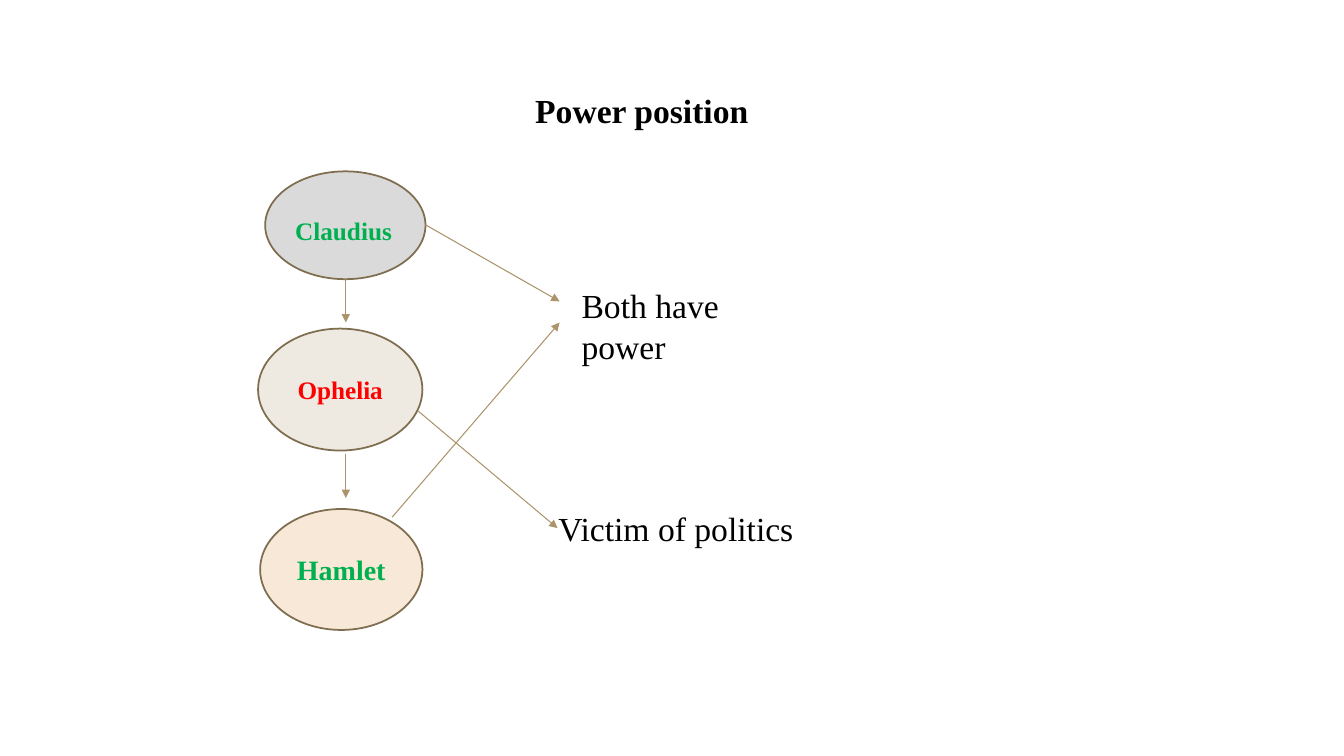
from pptx import Presentation
from pptx.dml.color import RGBColor
from pptx.enum.shapes import MSO_CONNECTOR, MSO_SHAPE
from pptx.enum.text import MSO_ANCHOR, PP_ALIGN
from pptx.oxml.ns import qn
from pptx.util import Inches, Pt
from lxml.etree import SubElement

FONT = "Times New Roman"
BLACK = RGBColor(0x00, 0x00, 0x00)
GREEN = RGBColor(0x00, 0xB0, 0x50)
RED = RGBColor(0xFF, 0x00, 0x00)
GREY = RGBColor(0xDA, 0xDA, 0xDA)
STONE = RGBColor(0xEE, 0xEA, 0xE1)
PEACH = RGBColor(0xF8, 0xE8, 0xD8)
OUTLINE = RGBColor(0x7F, 0x6D, 0x4F)
ARROW = RGBColor(0xAB, 0x94, 0x6B)


def write(shape, text, size=24, color=BLACK, bold=False):
    """Set one line of styled text in a shape."""
    frame = shape.text_frame
    frame.word_wrap = True
    frame.text = text
    font = frame.paragraphs[0].runs[0].font
    font.name, font.size, font.bold = FONT, Pt(size), bold
    font.color.rgb = color


def add_label(page, left, top, width, text, height=0.5, **style):
    box = page.shapes.add_textbox(
        Inches(left), Inches(top), Inches(width), Inches(height))
    write(box, text, **style)


def add_ellipse(page, left, top, width, height, fill):
    ellipse = page.shapes.add_shape(
        MSO_SHAPE.OVAL, Inches(left), Inches(top), Inches(width), Inches(height))
    ellipse.shadow.inherit = False
    ellipse.fill.solid()
    ellipse.fill.fore_color.rgb = fill
    ellipse.line.color.rgb = OUTLINE
    ellipse.line.width = Pt(1.25)
    return ellipse


def add_named_ellipse(page, left, top, width, height, fill, name, size, color):
    ellipse = add_ellipse(page, left, top, width, height, fill)
    write(ellipse, name, size, color, bold=True)
    ellipse.text_frame.vertical_anchor = MSO_ANCHOR.MIDDLE
    ellipse.text_frame.paragraphs[0].alignment = PP_ALIGN.CENTER


def add_arrow(page, x1, y1, x2, y2):
    arrow = page.shapes.add_connector(
        MSO_CONNECTOR.STRAIGHT, Inches(x1), Inches(y1), Inches(x2), Inches(y2))
    arrow.line.color.rgb = ARROW
    arrow.line.width = Pt(0.75)
    SubElement(arrow.line._get_or_add_ln(), qn("a:tailEnd"), type="triangle")
    SubElement(arrow._element.spPr, qn("a:effectLst"))


def add_characters(page, left, top):
    """Column of three characters, joined from top to bottom."""
    add_ellipse(page, left + 0.07, top, 1.59, 1.07, GREY)
    add_label(page, left + 0.27, top + 0.39, 1.17, "Claudius", height=0.4,
              size=18, color=GREEN, bold=True)
    add_named_ellipse(page, left, top + 1.56, 1.63, 1.21, STONE, "Ophelia", 18, RED)
    add_named_ellipse(page, left + 0.02, top + 3.35, 1.61, 1.2, PEACH, "Hamlet", 20, GREEN)
    for start, end in ((1.07, 1.5), (2.8, 3.24)):
        add_arrow(page, left + 0.87, top + start, left + 0.87, top + end)


def add_outcomes(page, left, top):
    """What each character's position amounts to."""
    add_label(page, left + 0.23, top, 2.4, "Both have power", height=0.87)
    add_label(page, left, top + 2.21, 2.84, "Victim of politics")


def add_links(page, left, top):
    """Arrows from the characters across to the outcomes."""
    for x1, y1, x2, y2 in (
        (1.66, 0.53, 2.99, 1.29),  # Claudius to power
        (1.33, 3.43, 2.99, 1.5),   # Hamlet to power
        (1.59, 2.38, 2.97, 3.54),  # Ophelia to victim
    ):
        add_arrow(page, left + x1, top + y1, left + x2, top + y2)


def main():
    deck = Presentation()
    deck.slide_width, deck.slide_height = Inches(13.33), Inches(7.5)
    page = deck.slides.add_slide(deck.slide_layouts[6])
    add_label(page, 5.21, 0.84, 8.12, "Power position", bold=True)
    add_characters(page, 2.56, 1.7)
    add_outcomes(page, 5.44, 2.78)
    add_links(page, 2.56, 1.7)
    deck.save("out.pptx")


if __name__ == "__main__":
    main()
